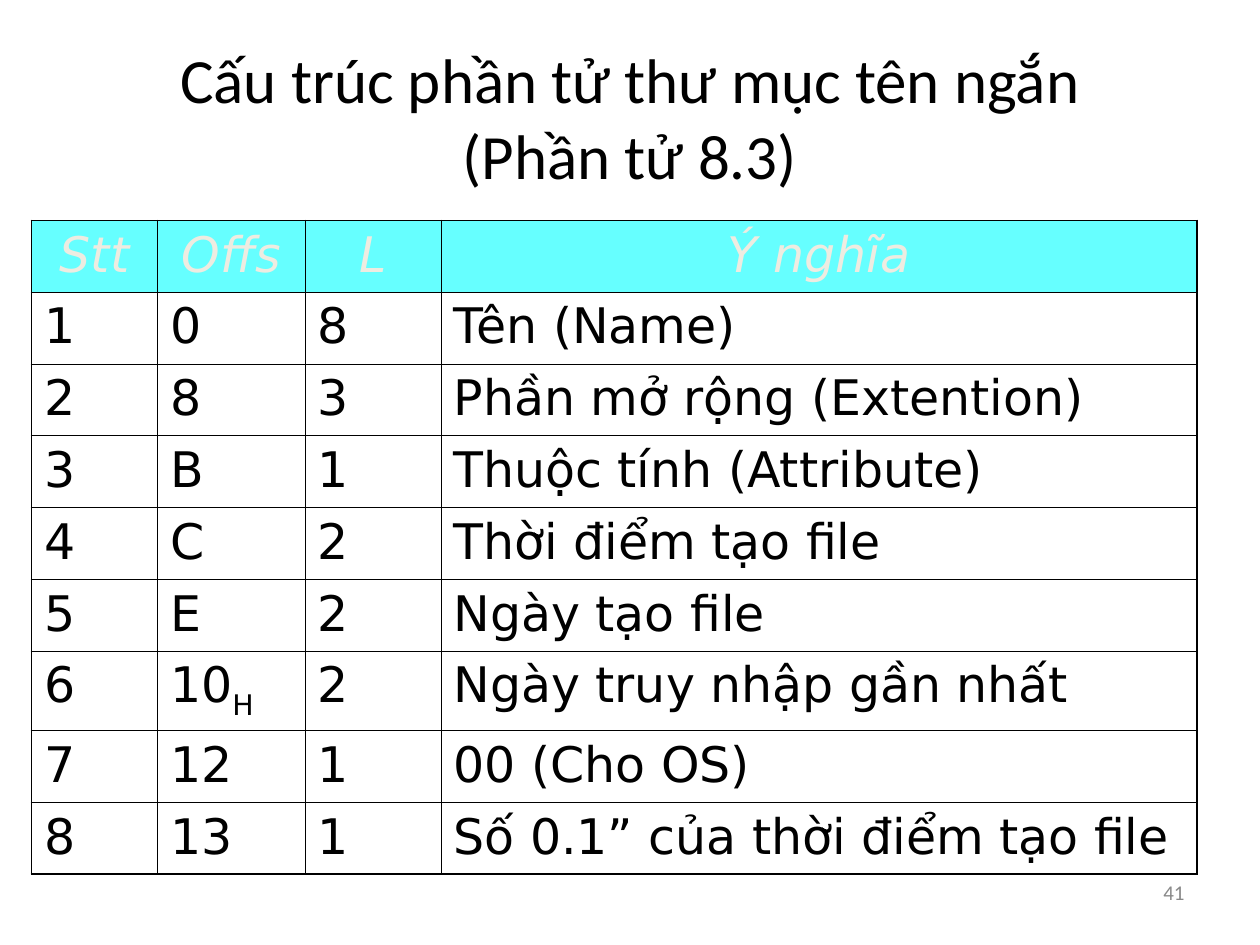
from dataclasses import dataclass

from lxml.etree import SubElement
from pptx import Presentation
from pptx.dml.color import RGBColor
from pptx.enum.text import MSO_ANCHOR, PP_ALIGN
from pptx.oxml.ns import qn
from pptx.util import Inches, Pt


@dataclass(frozen=True)
class Theme:
    text: str = "000000"
    muted: str = "898989"
    header_text: str = "EEECE1"
    header_fill: str = "66FFFF"
    border: str = "000000"
    heading_font: str = "Calibri"
    table_font: str = "DejaVu Sans"
    title_size: float = 36
    table_size: float = 28
    number_size: float = 12
    outer_line: float = 1.08
    inner_line: float = 0.45


THEME = Theme()
SUBSCRIPTS = {"10H": ("10", "H")}
COLUMN_WIDTHS = (1, 1.17, 1.08, 6)
ROW_HEIGHT, SUBSCRIPT_ROW_HEIGHT = 0.57, 0.63
ROWS = (
    ("Stt", "Offs", "L", "Ý nghĩa"),
    ("1", "0", "8", "Tên (Name)"),
    ("2", "8", "3", "Phần mở rộng (Extention)"),
    ("3", "B", "1", "Thuộc tính (Attribute)"),
    ("4", "C", "2", "Thời điểm tạo file"),
    ("5", "E", "2", "Ngày tạo file"),
    ("6", "10H", "2", "Ngày truy nhập gần nhất"),
    ("7", "12", "1", "00 (Cho OS)"),
    ("8", "13", "1", "Số 0.1” của thời điểm tạo file"),
)


def style_run(r, size, font, color, italic=False):
    r.font.size = Pt(size)
    r.font.name = font
    r.font.italic = italic
    r.font.color.rgb = RGBColor.from_string(color)


def add_text(slide, box, text, size, color, align):
    """Add a vertically centred text box in the heading font."""
    tf = slide.shapes.add_textbox(*map(Inches, box)).text_frame
    tf.word_wrap = True
    tf.vertical_anchor = MSO_ANCHOR.MIDDLE
    p = tf.paragraphs[0]
    p.text = text
    p.alignment = align
    for r in p.runs:
        style_run(r, size, THEME.heading_font, color)


def set_borders(cell, outer_sides):
    """Draw all four borders, thicker on the sides at the table's edge."""
    tc_pr = cell._tc.get_or_add_tcPr()
    for side in "LRTB":
        width = THEME.outer_line if side in outer_sides else THEME.inner_line
        ln = SubElement(tc_pr, qn(f"a:ln{side}"), w=str(Pt(width)))
        fill = SubElement(ln, qn("a:solidFill"))
        SubElement(fill, qn("a:srgbClr"), val=THEME.border)


def fill_cell(cell, text, is_header):
    p = cell.text_frame.paragraphs[0]
    p.space_before = Pt(7)
    for part in SUBSCRIPTS.get(text, (text,)):
        r = p.add_run()
        r.text = part
        color = THEME.header_text if is_header else THEME.text
        style_run(r, THEME.table_size, THEME.table_font, color, is_header)
    if text in SUBSCRIPTS:
        p.runs[-1]._r.get_or_add_rPr().set("baseline", "-25000")
    if is_header:
        p.alignment = PP_ALIGN.CENTER
        cell.fill.solid()
        cell.fill.fore_color.rgb = RGBColor.from_string(THEME.header_fill)
    else:
        cell.fill.background()


def add_entry_table(slide, left, top):
    heights = [SUBSCRIPT_ROW_HEIGHT if SUBSCRIPTS.keys() & set(row) else ROW_HEIGHT
               for row in ROWS]
    size = (len(ROWS), len(COLUMN_WIDTHS))
    box = (left, top, sum(COLUMN_WIDTHS), sum(heights))
    table = slide.shapes.add_table(*size, *map(Inches, box)).table
    table.first_row = table.horz_banding = False
    for column, width in zip(table.columns, COLUMN_WIDTHS):
        column.width = Inches(width)
    for row, height in zip(table.rows, heights):
        row.height = Inches(height)

    last_row, last_column = size[0] - 1, size[1] - 1
    for i, row in enumerate(ROWS):
        for j, text in enumerate(row):
            edges = {"L": j == 0, "R": j == last_column,
                     "T": i == 0, "B": i == last_row}
            cell = table.cell(i, j)
            set_borders(cell, [side for side, outer in edges.items() if outer])
            fill_cell(cell, text, is_header=i == 0)


def main():
    prs = Presentation()
    prs.slide_width, prs.slide_height = Inches(10), Inches(7.5)
    s = prs.slides.add_slide(prs.slide_layouts[6])
    add_text(s, (7.17, 6.83, 2.33, 0.5), "41",
             THEME.number_size, THEME.muted, PP_ALIGN.RIGHT)
    add_text(s, (0.5, 0.3, 9, 1.25),
             "Cấu trúc phần tử thư mục tên ngắn\v(Phần tử 8.3)",
             THEME.title_size, THEME.text, PP_ALIGN.CENTER)
    add_entry_table(s, 0.25, 1.75)
    prs.save("out.pptx")


if __name__ == "__main__":
    main()
